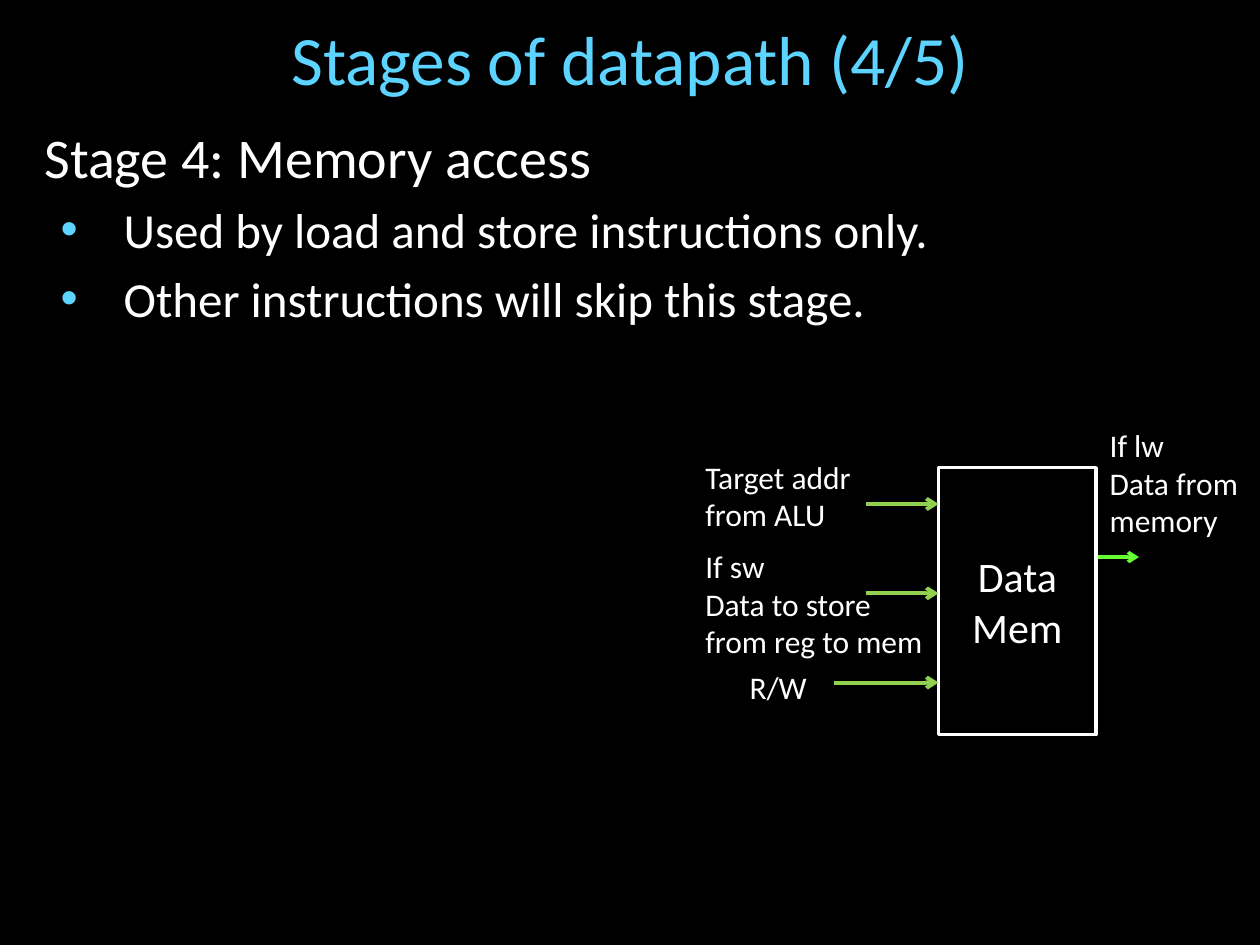
from lxml.etree import SubElement
from pptx import Presentation
from pptx.dml.color import RGBColor
from pptx.enum.shapes import MSO_CONNECTOR, MSO_SHAPE
from pptx.enum.text import MSO_ANCHOR, MSO_AUTO_SIZE, PP_ALIGN
from pptx.oxml.ns import qn
from pptx.util import Cm, Pt

FONT = "Calibri"
BLACK, WHITE, SKY = "000000", "FFFFFF", "5DD4FF"
GREEN, BRIGHT_GREEN = "92D050", "66FF33"


def colour(value):
    return RGBColor.from_string(value)


def place(shape, box):
    shape.left, shape.top, shape.width, shape.height = [Cm(length) for length in box]


def format_text(frame, size, value=WHITE, align=PP_ALIGN.LEFT):
    for para in frame.paragraphs:
        para.alignment = align
        for span in para.runs:
            span.font.name = FONT
            span.font.size = Pt(size)
            span.font.color.rgb = colour(value)


def add_bullet(para, value):
    properties = para._p.get_or_add_pPr()
    properties.set("marL", str(Cm(1.6)))
    properties.set("indent", str(Cm(-1.27)))
    bullet_colour = SubElement(properties, qn("a:buClr"))
    SubElement(bullet_colour, qn("a:srgbClr"), val=value)
    SubElement(properties, qn("a:buFont"), typeface="Arial")
    SubElement(properties, qn("a:buChar"), char="•")


def add_title(page, box, text):
    title = page.shapes.title
    place(title, box)
    frame = title.text_frame
    frame.text = text
    frame.auto_size = MSO_AUTO_SIZE.NONE
    frame.vertical_anchor = MSO_ANCHOR.MIDDLE
    format_text(frame, 39.6, SKY, PP_ALIGN.CENTER)


def add_body(page, box, heading, points):
    body = page.placeholders[1]
    place(body, box)
    frame = body.text_frame
    frame.text = "\n".join([heading, *points])
    frame.auto_size = MSO_AUTO_SIZE.NONE
    format_text(frame, 28)

    # Heading without a bullet
    first, *others = frame.paragraphs
    properties = first._p.get_or_add_pPr()
    properties.set("marL", "0")
    properties.set("indent", "0")
    SubElement(properties, qn("a:buNone"))
    first.space_before = Pt(0)
    first.runs[0].font.size = Pt(32)

    # Bulleted points
    for para in others:
        para.level = 1
        add_bullet(para, SKY)
        para.space_before = Pt(5.6)


def add_arrow(page, start, end, y, value, width):
    arrow = page.shapes.add_connector(
        MSO_CONNECTOR.STRAIGHT, Cm(start), Cm(y), Cm(end), Cm(y))
    arrow.line.color.rgb = colour(value)
    arrow.line.width = Pt(width)
    SubElement(arrow.line._get_or_add_ln(), qn("a:tailEnd"), type="arrow")
    SubElement(arrow._element.spPr, qn("a:effectLst"))


def add_label(page, box, text):
    label = page.shapes.add_textbox(*[Cm(length) for length in box])
    frame = label.text_frame
    frame.text = text
    frame.word_wrap = False
    frame.auto_size = MSO_AUTO_SIZE.SHAPE_TO_FIT_TEXT
    format_text(frame, 18)


def add_memory_diagram(page, box):
    left, top, width, height = box
    memory_left, memory_top, memory_width = left + 4.95, top + 0.97, 3.18
    memory_right = memory_left + memory_width

    # Output of the memory
    add_arrow(page, memory_right, memory_right + 0.86, top + 2.77, BRIGHT_GREEN, 2)

    # Memory block
    memory = page.shapes.add_shape(MSO_SHAPE.RECTANGLE, 0, 0, 0, 0)
    place(memory, (memory_left, memory_top, memory_width, top + height - memory_top))
    memory.shadow.inherit = False
    memory.fill.background()
    memory.line.color.rgb = colour(WHITE)
    memory.line.width = Pt(2)
    memory.text_frame.text = "Data\nMem"
    memory.text_frame.vertical_anchor = MSO_ANCHOR.MIDDLE
    format_text(memory.text_frame, 24, WHITE, PP_ALIGN.CENTER)

    # Inputs, evenly spaced
    for row, start in enumerate((3.48, 3.48, 2.84)):
        add_arrow(page, left + start, memory_left, top + 1.7 + row * 1.8, GREEN, 2.25)

    # Labels
    labels = [
        (0, 0.64, 3.48, 1.8, "Target addr\nfrom ALU"),
        (0, 2.44, 4.95, 2.57, "If sw\nData to store\nfrom reg to mem"),
        (0.89, 4.88, 1.68, 1.02, "R/W"),
        (8.15, 0, width - 8.15, 2.57, "If lw\nData from\nmemory"),
    ]
    for x, y, label_width, label_height, text in labels:
        add_label(page, (left + x, top + y, label_width, label_height), text)


def main():
    deck = Presentation()
    deck.slide_width, deck.slide_height = Cm(25.4), Cm(19.05)
    page = deck.slides.add_slide(deck.slide_layouts[1])
    page.background.fill.solid()
    page.background.fill.fore_color.rgb = colour(BLACK)

    add_title(page, (0.64, 0.43, 24.13, 1.47), "Stages of datapath (4/5)")
    add_body(page, (0.64, 2.34, 24.13, 15.67), "Stage 4: Memory access", [
        "Used by load and store instructions only.",
        "Other instructions will skip this stage.",
    ])
    add_memory_diagram(page, (13.97, 8.46, 11.43, 6.35))
    deck.save("out.pptx")


if __name__ == "__main__":
    main()
